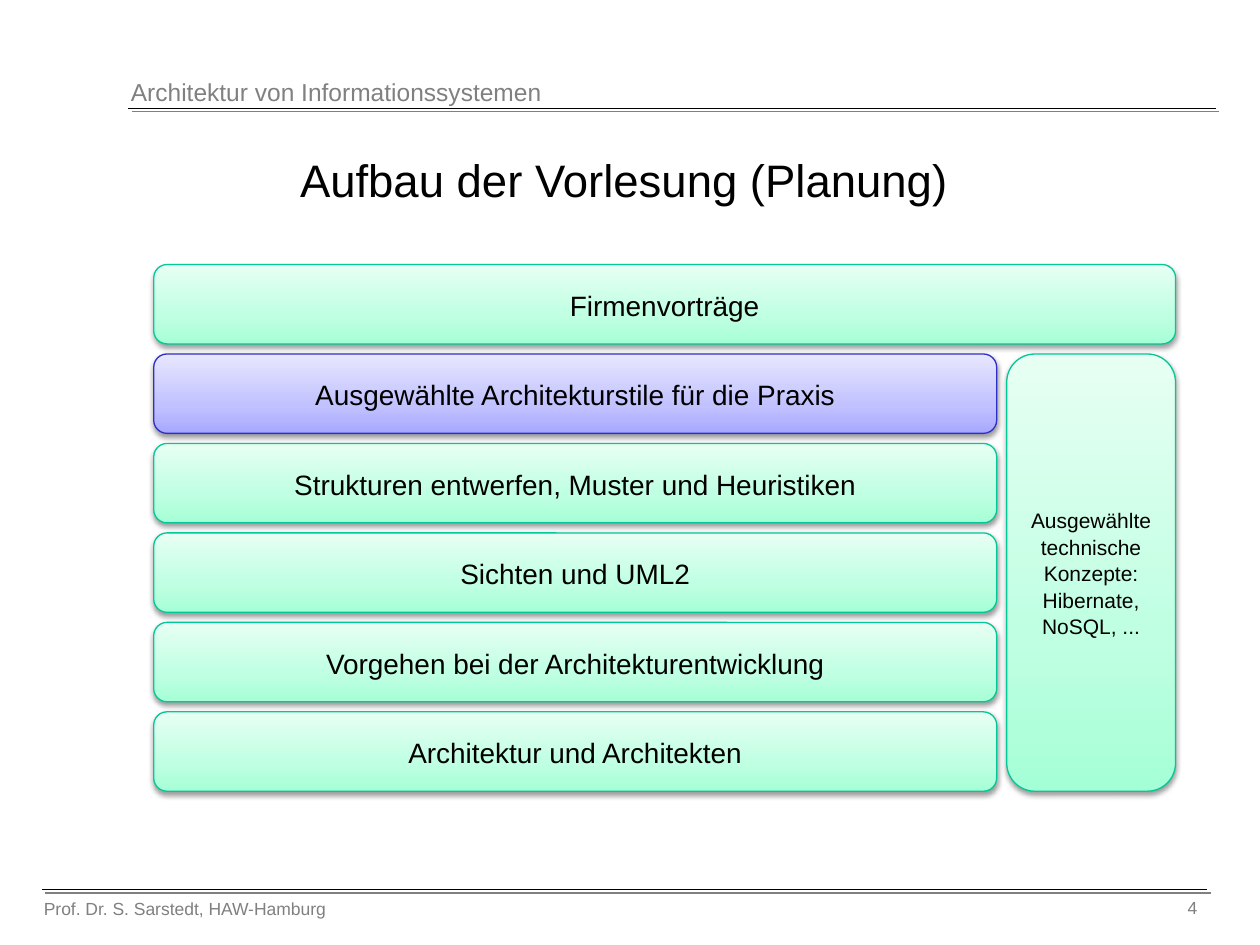
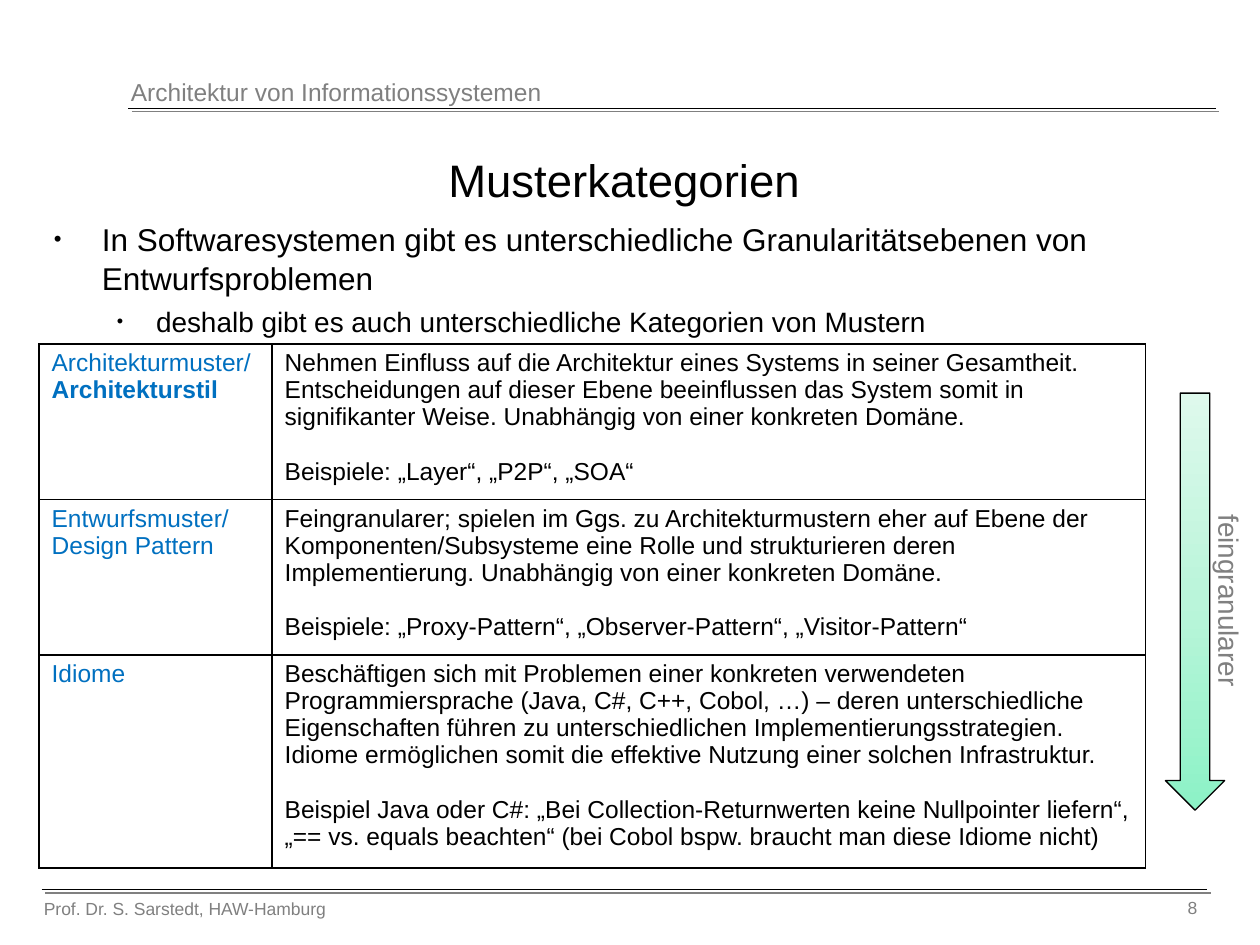
import pptx
import pptx.util
import pptx.dml.color
import pptx.enum.shapes
import pptx.enum.text
import pptx.oxml.ns
import lxml.etree

Inches, Pt = pptx.util.Inches, pptx.util.Pt
SHAPE = pptx.enum.shapes.MSO_SHAPE
ALIGN = pptx.enum.text.PP_ALIGN
ANCHOR = pptx.enum.text.MSO_ANCHOR
qn = pptx.oxml.ns.qn

WIDTH, HEIGHT = 10, 7.5
FONT = "Arial"
COLORS = {"text": "000000", "muted": "808080", "term": "0070C0",
          "green_line": "00C896", "blue_line": "2E2ECB"}
GRADIENTS = {
    "green": [(0, "A5FFD6"), (35, "BFFFE2"), (100, "E7FFF3")],
    "blue": [(0, "A7A7FF"), (35, "C1C1FF"), (100, "E7E7FF")],
    "arrow": [(0, "8CF2C6"), (50, "BAF5DA"), (100, "DEF9EC")],
}
LINE_SHADOW = {"color": "808080", "alpha": 100, "blur": 0, "dist": 2.8, "angle": 45}
BOX_SHADOW = {"color": "000000", "alpha": 38, "blur": 3.1, "dist": 1.6, "angle": 90}

LEFT, TOP = 1.22, 2.1
MAIN_WIDTH, SIDE_WIDTH = 6.69, 1.34
ROW_HEIGHT, GAP = 0.63, 0.08
LAYERS = ["Ausgewählte Architekturstile für die Praxis",
          "Strukturen entwerfen, Muster und Heuristiken",
          "Sichten und UML2",
          "Vorgehen bei der Architekturentwicklung",
          "Architektur und Architekten"]
CURRENT_LAYER = 0

POINTS = [
    ("In Softwaresystemen gibt es unterschiedliche Granularitätsebenen von "
     "Entwurfsproblemen", {"size": 18, "margin": 0.38, "hanging": 0.38, "bullet": 70}),
    ("deshalb gibt es auch unterschiedliche Kategorien von Mustern",
     {"size": 16, "margin": 0.81, "hanging": 0.31, "bullet": 65}),
]
CATEGORY_COLUMNS = [1.85, 6.93]
CATEGORIES = [
    (1.19, [("Architekturmuster/", False), ("Architekturstil", True)],
     ["Nehmen Einfluss auf die Architektur eines Systems in seiner Gesamtheit. "
      "Entscheidungen auf dieser Ebene beeinflussen das System somit in "
      "signifikanter Weise. Unabhängig von einer konkreten Domäne.",
      "Beispiele: „Layer“, „P2P“, „SOA“"]),
    (1.19, [("Entwurfsmuster/", False), ("Design Pattern", False)],
     ["Feingranularer; spielen im Ggs. zu Architekturmustern eher auf Ebene der "
      "Komponenten/Subsysteme eine Rolle und strukturieren deren "
      "Implementierung. Unabhängig von einer konkreten Domäne.",
      "Beispiele: „Proxy-Pattern“, „Observer-Pattern“, „Visitor-Pattern“"]),
    (1.63, [("Idiome", False)],
     ["Beschäftigen sich mit Problemen einer konkreten verwendeten "
      "Programmiersprache (Java, C#, C++, Cobol, …) – deren unterschiedliche "
      "Eigenschaften führen zu unterschiedlichen Implementierungsstrategien. "
      "Idiome ermöglichen somit die effektive Nutzung einer solchen Infrastruktur.",
      "Beispiel Java oder C#: „Bei Collection-Returnwerten keine Nullpointer "
      "liefern“, „== vs. equals beachten“ (bei Cobol bspw. braucht man diese "
      "Idiome nicht)"]),
]


def rgb(value):
    """Turn a hex string into a colour."""
    return pptx.dml.color.RGBColor.from_string(value)


def apply(target, values):
    """Set each named attribute on the target."""
    for name, value in values.items():
        setattr(target, name, value)


def add_xml(parent, tag, **attributes):
    """Append a drawing element with its attributes."""
    values = {name: str(value) for name, value in attributes.items()}
    return lxml.etree.SubElement(parent, qn("a:" + tag), values)


def write(paragraph, text, size, color="text", bold=False, **layout):
    """Add a formatted run and set the paragraph's layout."""
    run = paragraph.add_run()
    run.text = text
    apply(run.font, {"name": FONT, "size": Pt(size), "bold": bold})
    run.font.color.rgb = rgb(COLORS[color])
    apply(paragraph, layout)


def place(shape, left, top, width, height):
    """Move and size a shape in inches."""
    apply(shape, {"left": Inches(left), "top": Inches(top),
                  "width": Inches(width), "height": Inches(height)})


def add_text(slide, box, text, size, color="muted", align=ALIGN.LEFT, wrap=True):
    """Add a one-paragraph text box."""
    label = slide.shapes.add_textbox(*map(Inches, box))
    label.text_frame.word_wrap = wrap
    write(label.text_frame.paragraphs[0], text, size, color, alignment=align)
    return label


def add_shadow(effects, color, alpha, blur, dist, angle):
    """Put an outer shadow into an effect list."""
    shadow = add_xml(effects, "outerShdw", blurRad=Pt(blur), dist=Pt(dist),
                     dir=angle * 60000, algn="ctr", rotWithShape=0)
    add_xml(add_xml(shadow, "srgbClr", val=color), "alpha", val=alpha * 1000)


def add_rule(slide, left, right, y):
    """Draw a horizontal rule with its grey shadow."""
    rule = slide.shapes.add_connector(
        pptx.enum.shapes.MSO_CONNECTOR.STRAIGHT,
        *map(Inches, (left, y, right, y)))
    rule.line.width = Pt(0.75)
    rule.line.color.rgb = rgb(COLORS["text"])
    add_shadow(add_xml(rule._element.spPr, "effectLst"), **LINE_SHADOW)


def add_gradient_shape(slide, kind, box, gradient, line):
    """Add an outlined shape whose gradient runs from bottom to top."""
    shape = slide.shapes.add_shape(kind, *map(Inches, box))
    shape.fill.gradient()
    shape.fill.gradient_angle = 90
    stops = shape._element.spPr.find(".//" + qn("a:gsLst"))
    for stop in list(stops):
        stops.remove(stop)
    for position, color in GRADIENTS[gradient]:
        add_xml(add_xml(stops, "gs", pos=position * 1000), "srgbClr", val=color)
    shape.line.width = Pt(0.75)
    shape.line.color.rgb = rgb(COLORS[line])
    shape.shadow.inherit = False
    return shape


def add_block(slide, box, text, size=16, hue="green"):
    """Add a rounded building block of the lecture."""
    block = add_gradient_shape(slide, SHAPE.ROUNDED_RECTANGLE, box, hue, hue + "_line")
    add_shadow(block._element.spPr.find(qn("a:effectLst")), **BOX_SHADOW)
    apply(block.text_frame, {"word_wrap": True, "vertical_anchor": ANCHOR.MIDDLE})
    write(block.text_frame.paragraphs[0], text, size,
          alignment=ALIGN.CENTER, line_spacing=1.05)


def add_page(deck, title, number):
    """Add a slide with the shared header, footer and title."""
    slide = deck.slides.add_slide(deck.slide_layouts[5])
    add_rule(slide, 1.02, 9.65, 0.86)
    add_rule(slide, 0.33, 9.58, 7.06)
    add_text(slide, (0.25, 7.08, 4.5, 0.27), "Prof. Dr. S. Sarstedt, HAW-Hamburg", 10)
    add_text(slide, (0.94, 0.56, 7.01, 0.34), "Architektur von Informationssystemen", 14)
    add_text(slide, (8.58, 7.07, 1.02, 0.31), str(number), 10, align=ALIGN.RIGHT)
    heading = slide.shapes.title
    place(heading, 0.33, 1.17, 9.25, 0.5)
    apply(heading.text_frame, {"word_wrap": True, "vertical_anchor": ANCHOR.MIDDLE,
                               "auto_size": pptx.enum.text.MSO_AUTO_SIZE.NONE})
    write(heading.text_frame.paragraphs[0], title, 26, alignment=ALIGN.CENTER)
    return slide


def add_points(slide, box, points):
    """Add the bulleted introduction."""
    frame = slide.shapes.add_textbox(*map(Inches, box)).text_frame
    frame.word_wrap = True
    for index, (text, style) in enumerate(points):
        paragraph = frame.add_paragraph() if index else frame.paragraphs[0]
        write(paragraph, text, style["size"], line_spacing=1.05, level=index,
              space_before=Pt(0.2 * style["size"]))
        properties = paragraph._p.get_or_add_pPr()
        properties.set("marL", str(Inches(style["margin"])))
        properties.set("indent", str(-Inches(style["hanging"])))
        add_xml(properties, "buSzPct", val=style["bullet"] * 1000)
        add_xml(properties, "buFont", typeface=FONT)
        add_xml(properties, "buChar", char="•")


def format_cell(cell):
    """Clear a cell's fill and give it black borders."""
    properties = cell._tc.get_or_add_tcPr()
    for side in ("lnL", "lnR", "lnT", "lnB"):
        border = add_xml(properties, side, w=Pt(1))
        add_xml(add_xml(border, "solidFill"), "srgbClr", val=COLORS["text"])
    cell.fill.background()


def add_categories(slide, left, top):
    """Add the table of pattern categories."""
    heights = [height for height, _, _ in CATEGORIES]
    frame = slide.shapes.add_table(
        len(CATEGORIES), len(CATEGORY_COLUMNS), Inches(left), Inches(top),
        Inches(sum(CATEGORY_COLUMNS)), Inches(sum(heights)))
    table = frame.table
    apply(table, {"first_row": False, "horz_banding": False})
    for column, width in zip(table.columns, CATEGORY_COLUMNS):
        column.width = Inches(width)
    for row, (height, terms, descriptions) in zip(table.rows, CATEGORIES):
        row.height = Inches(height)
        term_cell, description_cell = row.cells
        for cell in row.cells:
            format_cell(cell)
        term_line = term_cell.text_frame.paragraphs[0]
        for index, (term, bold) in enumerate(terms):
            if index:
                term_line.add_line_break()
            write(term_line, term, 14, "term", bold, line_spacing=0.98)
        frame_text = description_cell.text_frame
        for index, description in enumerate(descriptions):
            paragraph = frame_text.add_paragraph() if index else frame_text.paragraphs[0]
            write(paragraph, description, 14, line_spacing=0.98,
                  space_before=Pt(15.7 * index))


def build_plan(deck):
    """Build the slide with the lecture's structure."""
    slide = add_page(deck, "Aufbau der Vorlesung (Planung)", 4)
    pitch = ROW_HEIGHT + GAP
    add_block(slide, (LEFT, TOP, MAIN_WIDTH + GAP + SIDE_WIDTH, ROW_HEIGHT),
              "Firmenvorträge")
    for index, layer in enumerate(LAYERS):
        add_block(slide, (LEFT, TOP + (index + 1) * pitch, MAIN_WIDTH, ROW_HEIGHT),
                  layer, hue="blue" if index == CURRENT_LAYER else "green")
    add_block(slide, (LEFT + MAIN_WIDTH + GAP, TOP + pitch, SIDE_WIDTH,
                      len(LAYERS) * pitch - GAP),
              "Ausgewählte technische Konzepte: Hibernate, NoSQL, ...", size=12)


def build_categories(deck):
    """Build the slide with the pattern categories."""
    slide = add_page(deck, "Musterkategorien", 8)
    add_points(slide, (0.33, 1.68, 9.25, 1.05), POINTS)
    add_categories(slide, 0.31, 2.73)
    add_gradient_shape(slide, SHAPE.DOWN_ARROW, (9.25, 3.12, 0.47, 3.31), "arrow", "text")
    direction = add_text(slide, (8.96, 4.58, 1.59, 0.37), "feingranularer", 16,
                         align=ALIGN.CENTER, wrap=False)
    direction.rotation = 90


def main():
    """Build and save the presentation."""
    deck = pptx.Presentation()
    apply(deck, {"slide_width": Inches(WIDTH), "slide_height": Inches(HEIGHT)})
    build_plan(deck)
    build_categories(deck)
    deck.save("out.pptx")


main()
